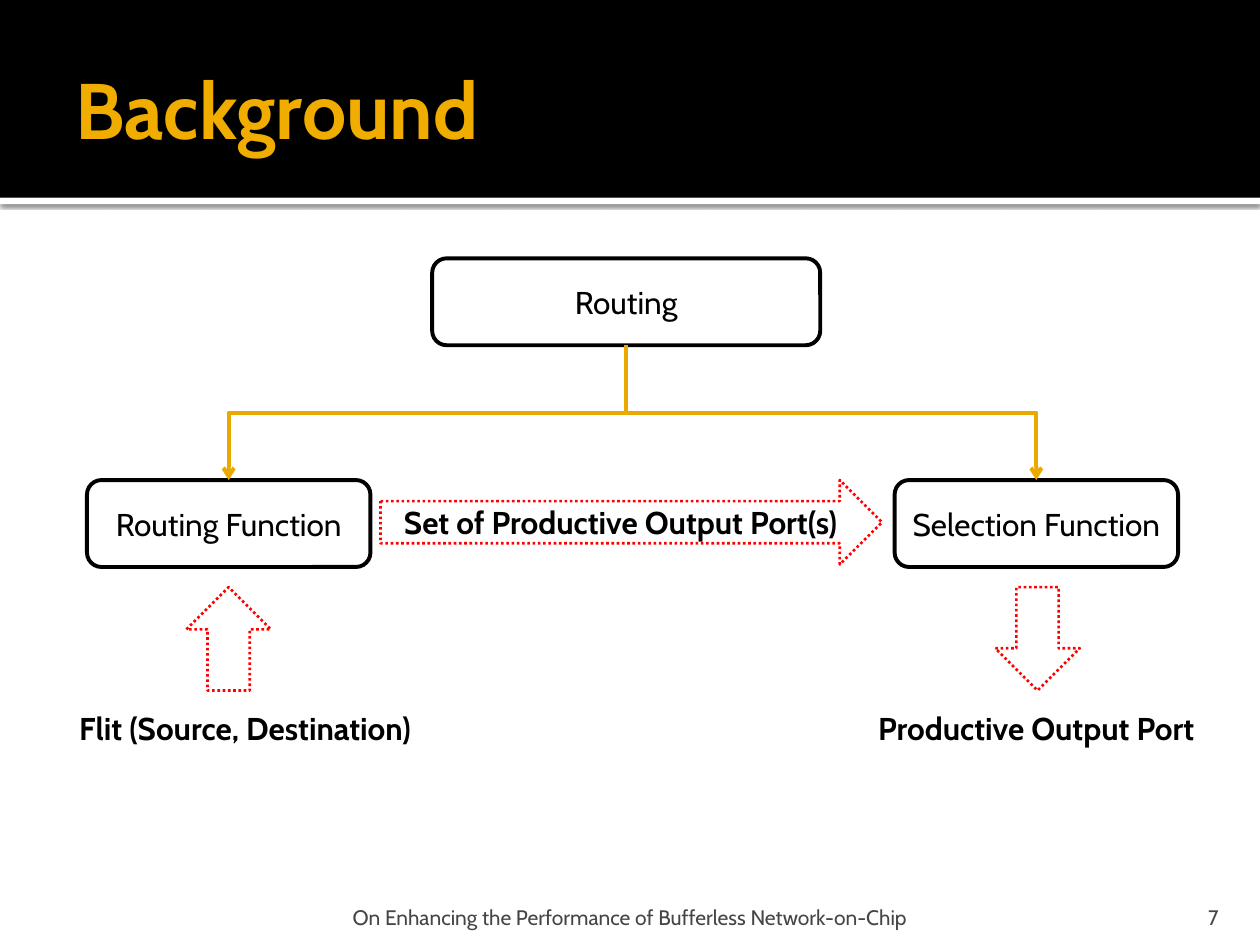
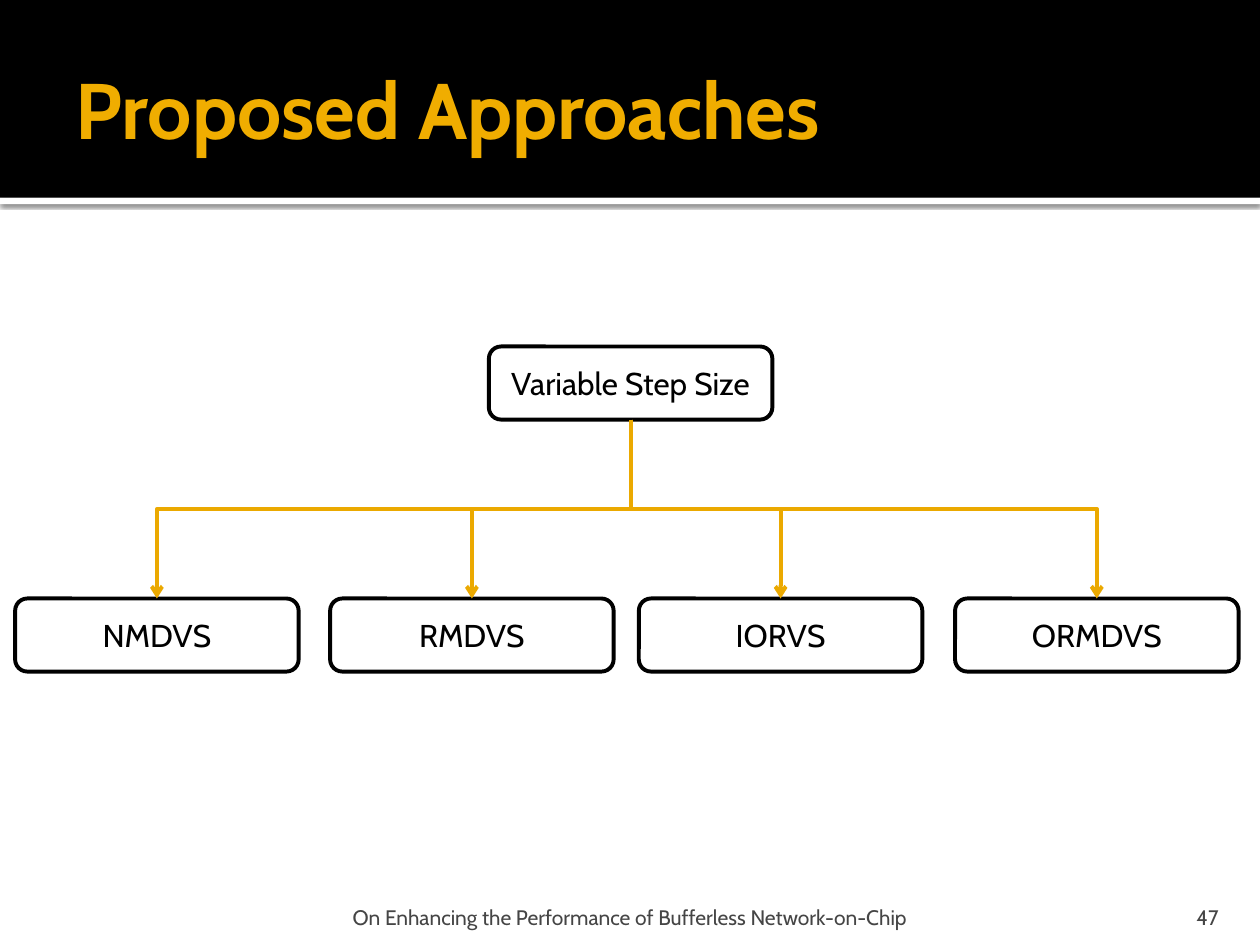
import lxml.etree
import pptx
import pptx.dml.color
import pptx.enum.dml
import pptx.enum.shapes
import pptx.enum.text
import pptx.oxml.ns
import pptx.util

Inches = pptx.util.Inches
Pt = pptx.util.Pt
qn = pptx.oxml.ns.qn
SHAPE = pptx.enum.shapes.MSO_SHAPE
ANCHOR = pptx.enum.text.MSO_ANCHOR
ALIGN = pptx.enum.text.PP_ALIGN

BLACK, WHITE, RED = "000000", "FFFFFF", "FF0000"
TITLE_GOLD, LINE_GOLD, FOOTER_GREY = "F0AD00", "EBA900", "454545"
FOOTER = "On Enhancing the Performance of Bufferless Network-on-Chip"
TOP_SITE, BOTTOM_SITE = 0, 2


def color(value):
    return pptx.dml.color.RGBColor.from_string(value)


def write(shape, text, size=18, bold=False, fill=BLACK, align=ALIGN.CENTER,
          anchor=ANCHOR.MIDDLE, insets=(0.1, 0.05, 0.1, 0.05), wrap=True):
    frame = shape.text_frame
    frame.word_wrap = wrap
    frame.vertical_anchor = anchor
    (frame.margin_left, frame.margin_top,
     frame.margin_right, frame.margin_bottom) = map(Inches, insets)
    paragraph = frame.paragraphs[0]
    paragraph.alignment = align
    run = paragraph.add_run()
    run.text = text
    run.font.name = "Cabin"
    run.font.size = Pt(size)
    run.font.bold = bold
    run.font.color.rgb = color(fill)


class Deck:
    def __init__(self):
        self.presentation = pptx.Presentation()
        self.presentation.slide_width = Inches(10)
        self.presentation.slide_height = Inches(7.5)
        self.slide = None

    def start_slide(self, title, number):
        self.slide = self.presentation.slides.add_slide(self.presentation.slide_layouts[6])
        strip = self.shape(SHAPE.RECTANGLE, 0, 1.57, 10, 0.05)
        self.cast_shadow(strip)
        self.shape(SHAPE.RECTANGLE, 0, 0, 10, 1.57, fill=BLACK)
        self.label(title, 0.5, 0.17, 9, 1.37, size=45, bold=True, fill=TITLE_GOLD,
                   align=ALIGN.LEFT, insets=(0.1, 0.05, 0.05, 0.05))
        footer_style = dict(size=12, fill=FOOTER_GREY, anchor=ANCHOR.BOTTOM)
        self.label(FOOTER, 1.99, 7.08, 6.02, 0.3,
                   insets=(0.05, 0.05, 0.05, 0), **footer_style)
        self.label(str(number), 8.97, 7.08, 0.8, 0.3, align=ALIGN.RIGHT,
                   insets=(0.1, 0.05, 0.1, 0), **footer_style)

    def shape(self, kind, left, top, width, height, fill=WHITE, line=None, weight=2.25):
        shape = self.slide.shapes.add_shape(kind, *map(Inches, (left, top, width, height)))
        shape.shadow.inherit = False
        shape.fill.solid()
        shape.fill.fore_color.rgb = color(fill)
        if line:
            shape.line.color.rgb = color(line)
            shape.line.width = Pt(weight)
        else:
            shape.line.fill.background()
        return shape

    def cast_shadow(self, shape):
        effects = shape._element.spPr.find(qn("a:effectLst"))
        shadow = lxml.etree.SubElement(
            effects, qn("a:outerShdw"), blurRad=str(Pt(2.5)), dist=str(Pt(0.8)),
            dir="5400000", algn="tl", rotWithShape="0")
        tint = lxml.etree.SubElement(shadow, qn("a:srgbClr"), val=BLACK)
        lxml.etree.SubElement(tint, qn("a:alpha"), val="60000")

    def label(self, text, left, top, width, height, **style):
        box = self.slide.shapes.add_textbox(*map(Inches, (left, top, width, height)))
        write(box, text, **style)

    def node(self, text, left, top, width, height):
        node = self.shape(SHAPE.ROUNDED_RECTANGLE, left, top, width, height, line=BLACK)
        write(node, text)
        return node

    def flow_arrow(self, kind, left, top, width, height, text=None):
        arrow = self.shape(kind, left, top, width, height, line=RED, weight=1.5)
        arrow.line.dash_style = pptx.enum.dml.MSO_LINE.ROUND_DOT
        if text:
            write(arrow, text, bold=True)

    def branch(self, parent, child):
        link = self.slide.shapes.add_connector(
            pptx.enum.shapes.MSO_CONNECTOR.ELBOW, 0, 0, 0, 0)
        link.begin_connect(parent, BOTTOM_SITE)
        link.end_connect(child, TOP_SITE)
        start_x = parent.left + parent.width // 2
        start_y = parent.top + parent.height
        end_x = child.left + child.width // 2
        drop, span = child.top - start_y, abs(end_x - start_x)
        link.left = (start_x + end_x - drop) // 2
        link.top = (start_y + child.top - span) // 2
        link.width, link.height = drop, span
        goes_right = end_x > start_x
        frame = link._element.spPr.find(qn("a:xfrm"))
        frame.set("rot", "16200000" if goes_right else "5400000")
        frame.set("flipH", "1" if goes_right else "0")
        frame.set("flipV", "0")
        link.line.color.rgb = color(LINE_GOLD)
        link.line.width = Pt(2.25)
        lxml.etree.SubElement(link.line._get_or_add_ln(), qn("a:tailEnd"), type="arrow")
        lxml.etree.SubElement(link._element.spPr, qn("a:effectLst"))


def background(deck):
    deck.start_slide("Background", 7)
    routing = deck.node("Routing", 3.43, 2.05, 3.08, 0.69)
    functions = [("Routing Function", 0.69), ("Selection Function", 7.1)]
    for name, left in functions:
        deck.branch(routing, deck.node(name, left, 3.81, 2.25, 0.69))
    deck.flow_arrow(SHAPE.UP_ARROW, 1.48, 4.66, 0.67, 0.82)
    deck.flow_arrow(SHAPE.RIGHT_ARROW, 3.02, 3.81, 3.98, 0.67,
                    "Set of Productive Output Port(s)")
    deck.flow_arrow(SHAPE.DOWN_ARROW, 7.9, 4.66, 0.67, 0.82)
    for caption, left in [("Flit (Source, Destination)", 0.5),
                          ("Productive Output Port", 6.78)]:
        deck.label(caption, left, 5.58, 2.89, 0.4, bold=True, anchor=ANCHOR.TOP)


def proposed_approaches(deck):
    deck.start_slide("Proposed Approaches", 47)
    step_size = deck.node("Variable Step Size", 3.88, 2.75, 2.25, 0.58)
    approaches = [("NMDVS", 0.12), ("RMDVS", 2.62), ("IORVS", 5.07), ("ORMDVS", 7.58)]
    for name, left in approaches:
        deck.branch(step_size, deck.node(name, left, 4.75, 2.25, 0.58))


def main():
    deck = Deck()
    background(deck)
    proposed_approaches(deck)
    deck.presentation.save("out.pptx")


if __name__ == "__main__":
    main()
